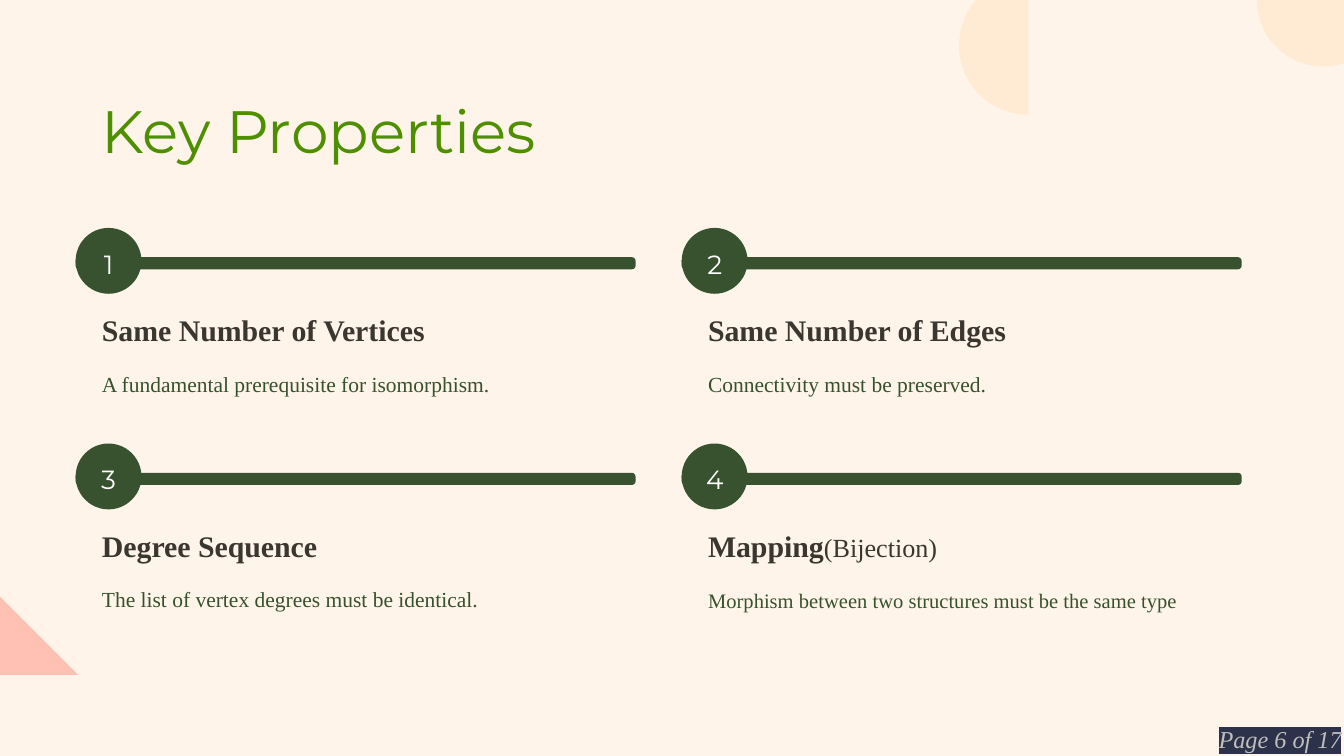
from math import cos, pi, sin

from lxml.etree import SubElement
from pptx import Presentation
from pptx.dml.color import RGBColor
from pptx.enum.shapes import MSO_SHAPE as Shape
from pptx.enum.text import MSO_ANCHOR as Anchor, PP_ALIGN as Align
from pptx.oxml.ns import qn
from pptx.util import Pt

COLORS = {
    "background": "FFF4E9",
    "peach": "FFEAD3",
    "coral": "FFC1B4",
    "title": "4E8F00",
    "marker": "38512F",
    "number": "FFFFFF",
    "heading": "3A3630",
    "detail": "37512E",
    "page": "BFBFBF",
    "highlight": "2B3249",
}
SANS = "Montserrat"
SERIF = "Times New Roman"


def paint(shape, color):
    shape.shadow.inherit = False
    shape.fill.solid()
    shape.fill.fore_color.rgb = RGBColor.from_string(COLORS[color])
    shape.line.fill.background()
    return shape


def add_text(box, runs, font_name, color, spacing=None, inset=0):
    left, top, width, height = box
    frame = slide.shapes.add_textbox(Pt(left), Pt(top), Pt(width), Pt(height)).text_frame
    frame.word_wrap = True
    frame.margin_left = frame.margin_right = Pt(inset)
    frame.margin_top = frame.margin_bottom = Pt(inset / 2)
    paragraph = frame.paragraphs[0]
    if spacing:
        paragraph.line_spacing = Pt(spacing)
    for words, size, bold in runs:
        run = paragraph.add_run()
        run.text = words
        run.font.size = Pt(size)
        run.font.bold = bold
        run.font.name = font_name
        run.font.color.rgb = RGBColor.from_string(COLORS[color])
    return frame


prs = Presentation()
prs.slide_width = Pt(720)
prs.slide_height = Pt(405)
slide = prs.slides.add_slide(prs.slide_layouts[6])
slide.background.fill.solid()
slide.background.fill.fore_color.rgb = RGBColor.from_string(COLORS["background"])

center_x, center_y, radius = 551, 24.3, 37.2
arc = [
    (Pt(center_x - radius * sin(pi * step / 60)), Pt(center_y - radius * cos(pi * step / 60)))
    for step in range(61)
]
builder = slide.shapes.build_freeform(*arc[0])
builder.add_line_segments(arc[1:], close=True)
paint(builder.convert_to_shape(), "peach")
paint(slide.shapes.add_shape(Shape.OVAL, Pt(673.3), Pt(-35.4), Pt(71), Pt(71)), "peach")
paint(slide.shapes.add_shape(Shape.RIGHT_TRIANGLE, 0, Pt(319.7), Pt(41.8), Pt(41.8)), "coral")

add_text((54.6, 54, 477, 34.6), [("Key Properties", 32, False)], SANS, "title", 34.4)

properties = [
    ([("Same Number of Vertices", 16, True)], "A fundamental prerequisite for isomorphism.", 11.55),
    ([("Same Number of Edges", 16, True)], "Connectivity must be preserved.", 11.55),
    ([("Degree Sequence", 16, True)], "The list of vertex degrees must be identical.", 11.55),
    ([("Mapping", 16, True), ("(Bijection)", 14, False)],
     "Morphism between two structures must be the same type", 11),
]
for index, (heading, detail, detail_size) in enumerate(properties):
    row, column = divmod(index, 2)
    left = 40.5 + column * 324.7
    top = 122.1 + row * 115.5
    for x, y, width, height, corner in [
        (left, top + 15.7, 300, 6.5, 0.3),
        (left, top, 35.3, 35.3, 0.5),
    ]:
        marker = slide.shapes.add_shape(
            Shape.ROUNDED_RECTANGLE, Pt(x), Pt(y), Pt(width), Pt(height))
        marker.adjustments[0] = corner
        paint(marker, "marker")
    number = add_text((left + 10.5, top + 6, 14.4, 20.8),
                      [(str(index + 1), 14.1, False)], SANS, "number", 22.5)
    number.vertical_anchor = Anchor.MIDDLE
    number.paragraphs[0].alignment = Align.CENTER
    add_text((left + 14.1, top + 46.9, 220, 17.3), heading, SERIF, "heading", 17.2)
    add_text((left + 14.1, top + 71.6, 286.5, 18.7),
             [(detail, detail_size, False)], SERIF, "detail", 18.8)

page = add_text((645.8, 384.7, 86.4, 23), [("Page 6 of 17", 13, False)], SERIF, "page", inset=7.2)
page_run = page.paragraphs[0].runs[0]
page_run.font.italic = True
run_properties = page_run._r.get_or_add_rPr()
highlight = SubElement(run_properties, qn("a:highlight"))
SubElement(highlight, qn("a:srgbClr"), val=COLORS["highlight"])
run_properties.find(qn("a:solidFill")).addnext(highlight)

prs.save("out.pptx")
